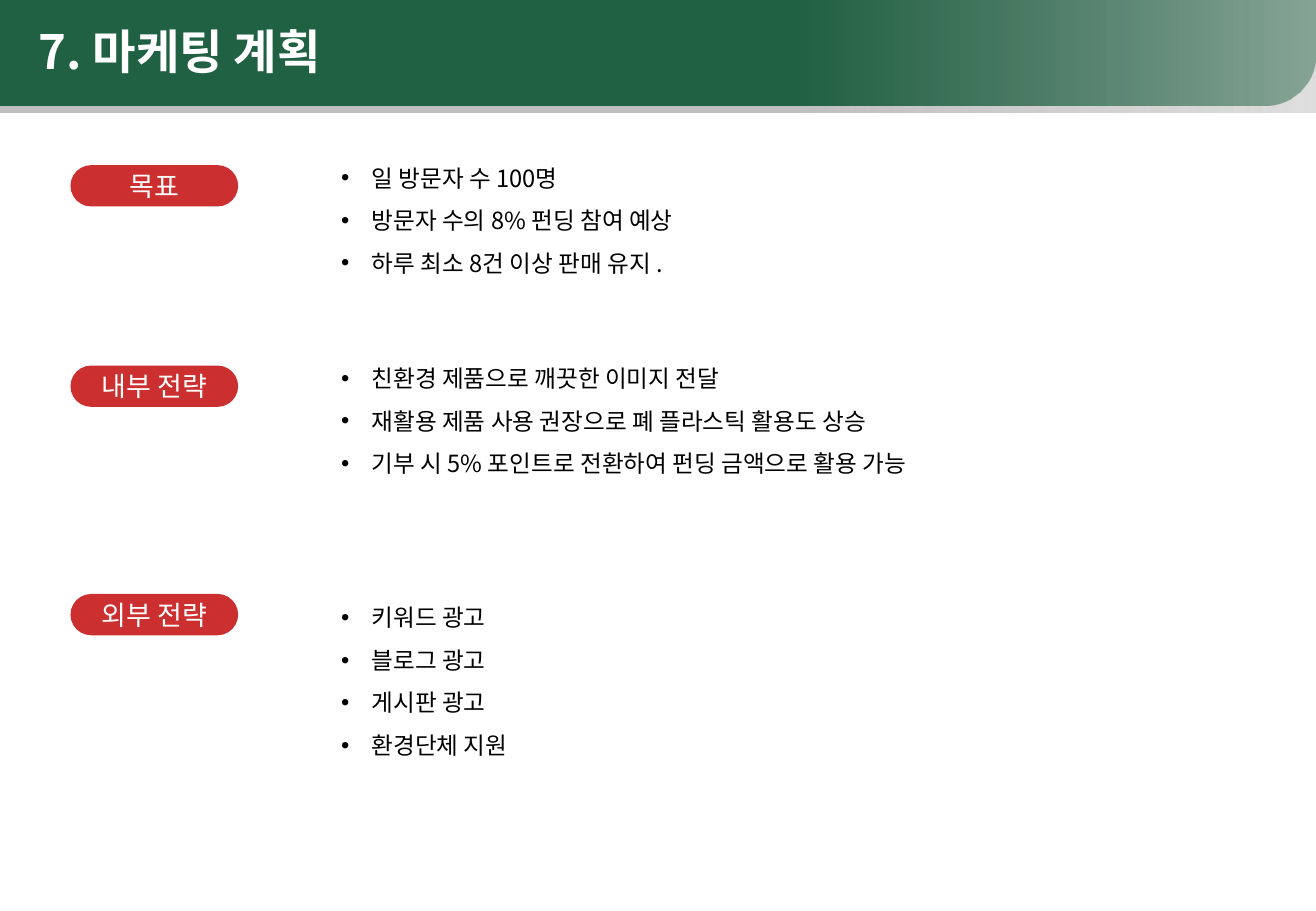
from pptx import Presentation
from pptx.dml.color import RGBColor
from pptx.enum.shapes import MSO_SHAPE as Shape
from pptx.enum.text import MSO_ANCHOR as Anchor, PP_ALIGN as Align, MSO_AUTO_SIZE as Fit
from pptx.util import Pt
from pptx.oxml.ns import qn
from lxml.etree import SubElement as Sub

PX = 9144
FONT = "Noto Sans CJK KR"


def paint(color, tone):
    color.rgb = RGBColor.from_string(tone)


def style(frame, size, tone, bold=False):
    for para in frame.paragraphs:
        for run in para.runs:
            font = run.font
            font.size, font.bold, font.name = Pt(size), bold, FONT
            paint(font.color, tone)
            Sub(font._element, qn("a:ea"), typeface=FONT)


deck = Presentation()
deck.slide_width, deck.slide_height = 1083 * PX, 750 * PX
slide = deck.slides.add_slide(deck.slide_layouts[5])
shapes = slide.shapes

bands = [
    (Shape.RECTANGLE, 93, "BFBFBF", 50),
    (Shape.ROUND_1_RECTANGLE, 87, "216143", 45),
]
for kind, high, tone, alpha in bands:
    band = shapes.add_shape(kind, 0, 0, 1083 * PX, high * PX)
    band.shadow.inherit = False
    band.line.fill.background()
    band.fill.gradient()
    band.fill.gradient_angle = 0
    for stop, place in zip(band.fill.gradient_stops, (0.6, 1)):
        stop.position = place
        paint(stop.color, tone)
    last = band.fill.gradient_stops[1]
    Sub(last._gs[0], qn("a:alpha"), val=str(alpha * 1000))
band.adjustments[0] = 0.5
band._element.spPr.xfrm.set("flipV", "1")

title = shapes.title
title.left, title.top, title.width, title.height = 22 * PX, 16 * PX, 937 * PX, 52 * PX
frame = title.text_frame
frame.text = "7. 마케팅 계획"
frame.auto_size = Fit.NONE
frame.vertical_anchor = Anchor.MIDDLE
frame.paragraphs[0].alignment = Align.LEFT
style(frame, 28, "FFFFFF", True)
title.element.getparent().append(title.element)

plans = [
    ("목표", 136, 123, 680, [
        "일 방문자 수 100명",
        "방문자 수의 8% 펀딩 참여 예상",
        "하루 최소 8건 이상 판매 유지 .",
    ]),
    ("내부 전략", 301, 288, 680, [
        "친환경 제품으로 깨끗한 이미지 전달",
        "재활용 제품 사용 권장으로 폐 플라스틱 활용도 상승",
        "기부 시 5% 포인트로 전환하여 펀딩 금액으로 활용 가능",
    ]),
    ("외부 전략", 489, 485, 506, [
        "키워드 광고",
        "블로그 광고",
        "게시판 광고",
        "환경단체 지원",
    ]),
]
for name, top, start, wide, items in plans:
    pill = shapes.add_shape(Shape.ROUNDED_RECTANGLE, 58 * PX, top * PX, 138 * PX, 34 * PX)
    pill.adjustments[0] = 0.5
    pill.shadow.inherit = False
    pill.fill.solid()
    paint(pill.fill.fore_color, "CB2F2F")
    pill.line.fill.background()
    frame = pill.text_frame
    frame.text = name
    frame.vertical_anchor = Anchor.MIDDLE
    frame.paragraphs[0].alignment = Align.CENTER
    style(frame, 16, "FFFFFF")

    high = 35 * len(items) - 1
    box = shapes.add_textbox(271 * PX, start * PX, wide * PX, high * PX)
    frame = box.text_frame
    frame.word_wrap = True
    frame.auto_size = Fit.SHAPE_TO_FIT_TEXT
    frame.margin_top = frame.margin_bottom = 0
    frame.text = "\n".join(items)
    for para in frame.paragraphs:
        para.line_spacing = 1.5
        props = para._p.get_or_add_pPr()
        props.set("marL", str(25 * PX))
        props.set("indent", str(-25 * PX))
        Sub(props, qn("a:buFont"), typeface="Arial")
        Sub(props, qn("a:buChar"), char="•")
    style(frame, 14, "000000")

deck.save("out.pptx")
